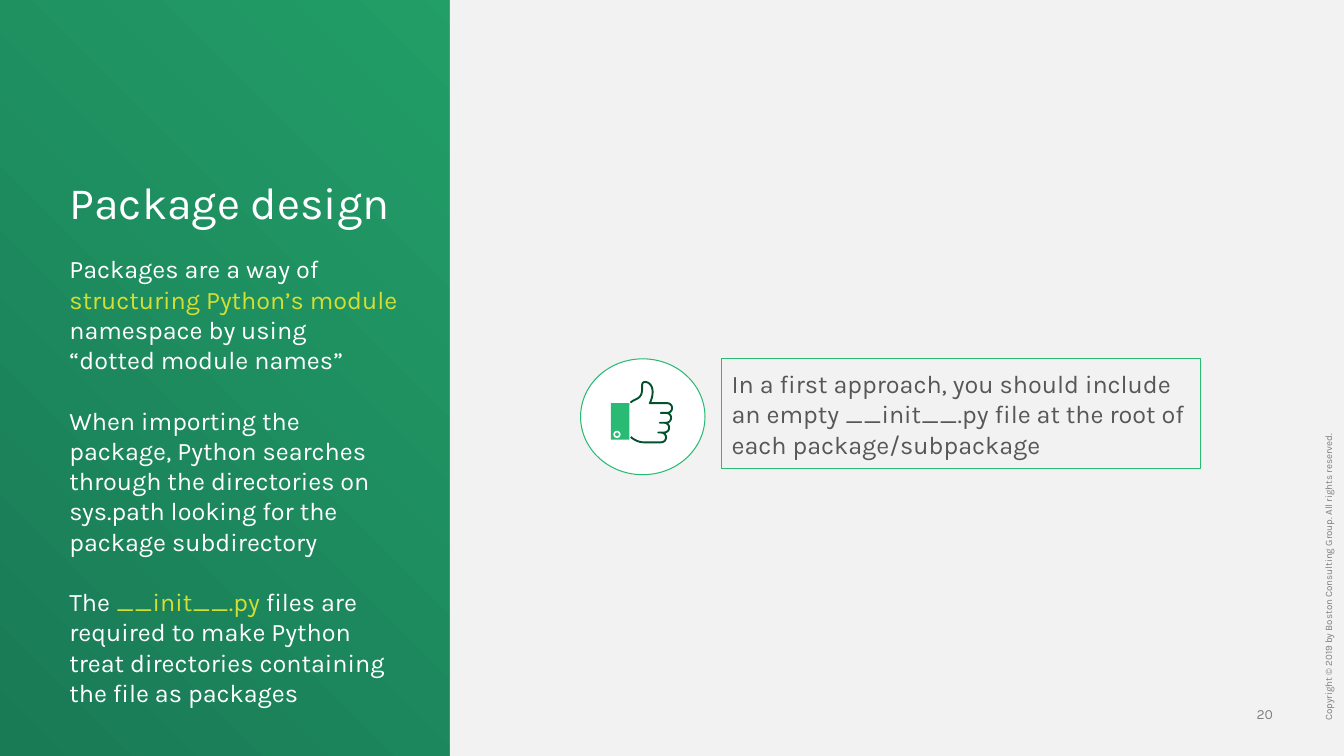
from math import cos, pi, sin

from pptx import Presentation
from pptx.dml.color import RGBColor
from pptx.enum.shapes import MSO_SHAPE
from pptx.enum.text import MSO_ANCHOR, PP_ALIGN
from pptx.util import Pt

RECTANGLE = MSO_SHAPE.RECTANGLE
OVAL = MSO_SHAPE.OVAL
TOP, MIDDLE, BOTTOM = MSO_ANCHOR.TOP, MSO_ANCHOR.MIDDLE, MSO_ANCHOR.BOTTOM
LEFT, RIGHT = PP_ALIGN.LEFT, PP_ALIGN.RIGHT

FONT = "Karla"
WHITE = "FFFFFF"
GREEN = "29BA74"
FOREST = "197A56"
DARK_GREEN = "03522D"
LIME = "D4DF33"
PANEL = "F2F2F2"
GRAY = "808080"
TEXT_GRAY = "575757"

BODY = [
    [("Packages are a way of ", WHITE),
     ("structuring Python’s module ", LIME),
     ("namespace by using “dotted module names”", WHITE)],
    [("When importing the package, Python searches through the directories on "
      "sys.path looking for the package subdirectory", WHITE)],
    [("The ", WHITE),
     ("__init__.py", LIME),
     (" files are required to make Python treat directories containing "
      "the file as packages", WHITE)],
]
CALLOUT = ("In a first approach, you should include an empty __init__.py file "
           "at the root of each package/subpackage")
COPYRIGHT = "Copyright © 2019 by Boston Consulting Group. All rights reserved."

THUMB_START = (450.4, 287.6)
THUMB_CURVES = [
    [(451.4, 286.6), (453.6, 285.6), (455.4, 284.7)],
    [(457.4, 283.6), (458.6, 281.4), (458.7, 278.6)],
    [(458.7, 275.2), (458.2, 272.9), (460.8, 272.9)],
    [(463.8, 272.9), (466, 275.6), (466.2, 279.4)],
    [(466.3, 283), (465.2, 286), (464.2, 288)],
]
PALM_CURVE = [(456.5, 316), (453.5, 314.6), (450.6, 312.2)]
FINGERS = [(476.6, 472), (475.9, 471.4), (474.5, 470.2), (472.3, 460)]
FINGER_TOP, FINGER_HEIGHT = 288, 7


def color(value):
    return RGBColor.from_string(value)


def style_shape(shape, fill, line, width):
    shape.shadow.inherit = False
    if fill:
        shape.fill.solid()
        shape.fill.fore_color.rgb = color(fill)
    else:
        shape.fill.background()
    if line:
        shape.line.color.rgb = color(line)
        shape.line.width = Pt(width)
    else:
        shape.line.fill.background()


def add_shape(slide, kind, box, fill=None, line=None, width=0.75):
    shape = slide.shapes.add_shape(kind, *map(Pt, box))
    style_shape(shape, fill, line, width)
    return shape


def write_paragraph(paragraph, runs, size, align=LEFT, line_spacing=1.0):
    paragraph.alignment = align
    paragraph.line_spacing = line_spacing
    for text, run_color in runs:
        run = paragraph.add_run()
        run.text = text
        run.font.name = FONT
        run.font.size = Pt(size)
        run.font.color.rgb = color(run_color)


def add_text_box(slide, box, anchor, inset=True):
    shape = slide.shapes.add_textbox(*map(Pt, box))
    frame = shape.text_frame
    frame.word_wrap = True
    frame.vertical_anchor = anchor
    if not inset:
        frame.margin_left = frame.margin_right = Pt(0)
        frame.margin_top = frame.margin_bottom = Pt(0)
    return shape


def add_label(slide, box, text, size, text_color, anchor, **options):
    shape = add_text_box(slide, box, anchor, inset=False)
    write_paragraph(shape.text_frame.paragraphs[0], [(text, text_color)], size, **options)
    return shape


def add_body(slide, box):
    frame = add_text_box(slide, box, MIDDLE).text_frame
    for index, runs in enumerate(BODY):
        paragraph = frame.add_paragraph() if index else frame.paragraphs[0]
        if index:
            paragraph.space_before = Pt(21.6)
        write_paragraph(paragraph, runs, 18)


def add_callout(slide, box):
    frame = add_shape(slide, RECTANGLE, box, line=GREEN).text_frame
    frame.word_wrap = True
    frame.vertical_anchor = MIDDLE
    write_paragraph(frame.paragraphs[0], [(CALLOUT, TEXT_GRAY)], 18)


def curve_points(start, controls, steps=8):
    corners = [start] + controls
    points = []
    for step in range(1, steps + 1):
        t = step / steps
        weights = [(1 - t) ** 3, 3 * t * (1 - t) ** 2, 3 * t ** 2 * (1 - t), t ** 3]
        points.append(tuple(sum(w * corner[axis] for w, corner in zip(weights, corners))
                            for axis in (0, 1)))
    return points


def finger_points(right, inner, top, steps=10):
    radius = FINGER_HEIGHT / 2
    angles = [pi * step / steps for step in range(steps + 1)]
    arc = [(right + radius * sin(a), top + radius * (1 - cos(a))) for a in angles]
    return arc + [(inner, top + FINGER_HEIGHT)]


def hand_points():
    points = [THUMB_START]
    for controls in THUMB_CURVES:
        points += curve_points(points[-1], controls)
    for index, (right, inner) in enumerate(FINGERS):
        points += finger_points(right, inner, FINGER_TOP + index * FINGER_HEIGHT)
    return points + curve_points(points[-1], PALM_CURVE)


def add_thumbs_up(slide):
    add_shape(slide, OVAL, (414.7, 256.3, 88.9, 82.8), WHITE, GREEN)
    first, *others = [(Pt(x), Pt(y)) for x, y in hand_points()]
    builder = slide.shapes.build_freeform(*first, scale=1.0)
    builder.add_line_segments(others, close=False)
    style_shape(builder.convert_to_shape(), None, DARK_GREEN, 1.35)
    add_shape(slide, RECTANGLE, (436.4, 288, 13.2, 26), GREEN)
    add_shape(slide, OVAL, (438.7, 308.3, 4, 4), GREEN, WHITE, 1.1)


def paint_background(slide):
    fill = slide.background.fill
    fill.gradient()
    fill.gradient_angle = 225
    for stop, value in zip(fill.gradient_stops, (GREEN, FOREST)):
        stop.color.rgb = color(value)


def main():
    presentation = Presentation()
    presentation.slide_width = Pt(960)
    presentation.slide_height = Pt(540)
    slide = presentation.slides.add_slide(presentation.slide_layouts[6])
    paint_background(slide)
    add_shape(slide, RECTANGLE, (321.3, 0, 638.7, 540), PANEL)
    notice = add_label(slide, (747.4, 308.9, 403.9, 7.9), COPYRIGHT, 7, GRAY, TOP,
                       line_spacing=0.9)
    notice.rotation = 270
    add_label(slide, (879.1, 504, 30.2, 12.2), "20", 10, GRAY, BOTTOM, align=RIGHT)
    add_label(slide, (49.7, 129.6, 246.2, 33.8), "Package design", 32, WHITE, MIDDLE,
              line_spacing=0.9)
    add_body(slide, (42.5, 181, 249.1, 324.5))
    add_callout(slide, (515.5, 256.3, 342, 78.5))
    add_thumbs_up(slide)
    presentation.save("out.pptx")


if __name__ == "__main__":
    main()
